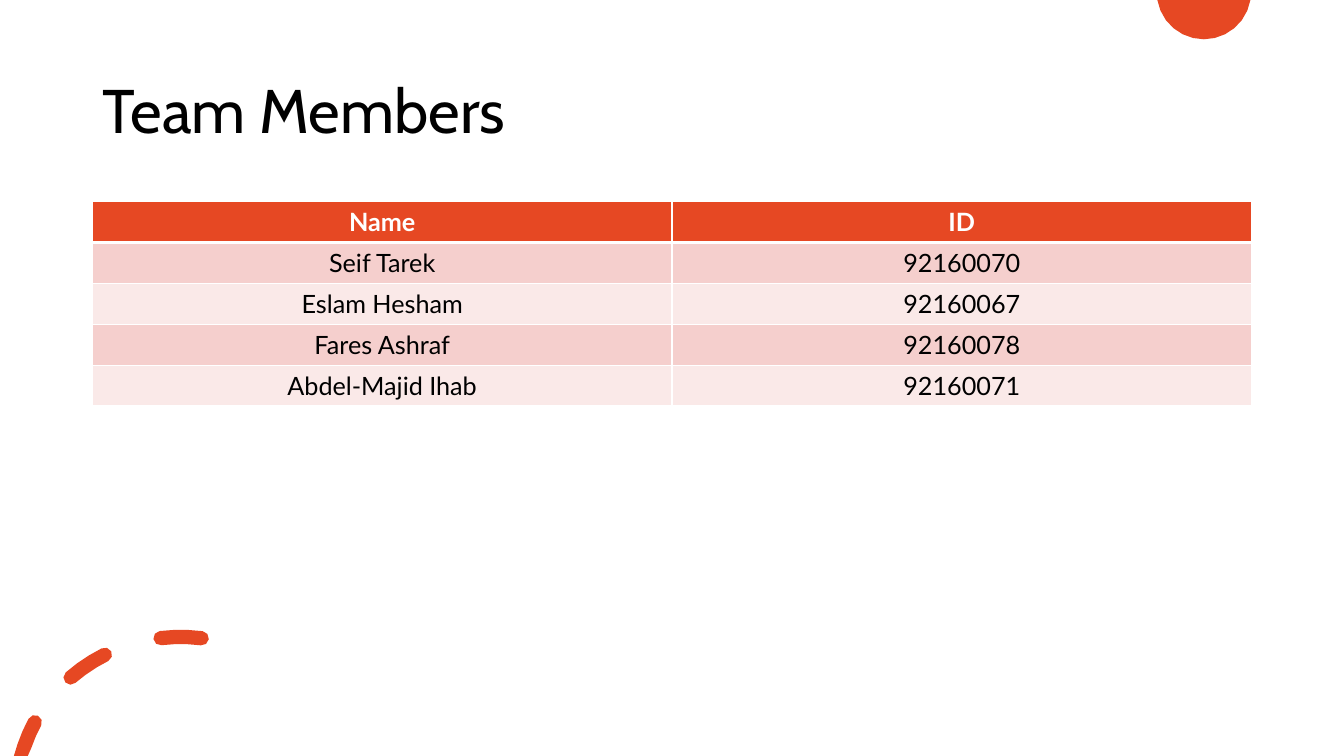
from math import atan2, cos, pi, radians, sin

from lxml.etree import SubElement
from pptx import Presentation
from pptx.dml.color import RGBColor
from pptx.enum.text import MSO_ANCHOR, MSO_AUTO_SIZE, PP_ALIGN
from pptx.oxml.ns import qn
from pptx.util import Cm, Pt

ORANGE = "E64823"
WHITE = "FFFFFF"
BLACK = "000000"
ROW_FILLS = ("F5CFCD", "FAE9E8")
SLIDE_WIDTH, SLIDE_HEIGHT = 33.87, 19.05
MARGIN, CONTENT_WIDTH = 2.33, 29.21
ROW_HEIGHT = 1.03
MEMBERS = [
    ("Name", "ID"),
    ("Seif Tarek", "92160070"),
    ("Eslam Hesham", "92160067"),
    ("Fares Ashraf", "92160078"),
    ("Abdel-Majid Ihab", "92160071"),
]
HEADER_BORDERS = {"L": 1, "R": 1, "T": 1, "B": 3}
RING_CENTER = (4.55, 20.04)
RING_RADII = (4.14, 3.99)
DASH_HALF_WIDTH = 0.18
DASH_ANGLES = [(13.5, 27.5), (48, 62.6), (83, 97.4)]


def color(value):
    return RGBColor.from_string(value)


def set_all(target, values):
    for name, value in values.items():
        setattr(target, name, value)


def write(paragraph, text, alignment, tone, **font):
    paragraph.alignment = alignment
    span = paragraph.add_run()
    span.text = text
    set_all(span.font, font)
    span.font.color.rgb = color(tone)


def add_outline(page, contours):
    contours = [[(Cm(x), Cm(y)) for x, y in contour] for contour in contours]
    builder = page.shapes.build_freeform(*contours[0][0])
    for number, contour in enumerate(contours):
        if number:
            builder.move_to(*contour[0])
        builder.add_line_segments(contour[1:], close=True)
    shape = builder.convert_to_shape()
    shape.shadow.inherit = False
    shape.fill.solid()
    shape.fill.fore_color.rgb = color(ORANGE)
    shape.line.fill.background()


def arc(center, radii, start, end, steps):
    angles = [start + (end - start) * step / steps for step in range(steps + 1)]
    return [
        (center[0] - radii[0] * cos(angle), center[1] - radii[1] * sin(angle))
        for angle in angles
    ]


def dash(start, end):
    spine = arc(RING_CENTER, RING_RADII, radians(start), radians(end), 3)
    tilts = [atan2(RING_CENTER[1] - y, RING_CENTER[0] - x) for x, y in spine]
    outer, inner = (
        [
            (x - offset * cos(tilt), y - offset * sin(tilt))
            for (x, y), tilt in zip(spine, tilts)
        ]
        for offset in (DASH_HALF_WIDTH, -DASH_HALF_WIDTH)
    )
    radii = (DASH_HALF_WIDTH, DASH_HALF_WIDTH)
    outline = outer + arc(spine[-1], radii, tilts[-1], tilts[-1] + pi, 4)[1:-1] + inner[::-1]
    if spine[0][1] < SLIDE_HEIGHT:
        outline += arc(spine[0], radii, tilts[0] + pi, tilts[0] + 2 * pi, 4)[1:-1]
    return [(x, min(y, SLIDE_HEIGHT)) for x, y in outline]


def add_decoration(page):
    half_disc = arc((30.34, -0.2), (1.19, 1.19), -radians(9.7), -radians(170.3), 12)
    add_outline(page, [[(x, max(y, 0)) for x, y in half_disc]])
    add_outline(page, [dash(*angles) for angles in DASH_ANGLES])


def add_title(page, text):
    box = page.shapes.title
    set_all(box, {
        "left": Cm(MARGIN), "top": Cm(1.02),
        "width": Cm(CONTENT_WIDTH), "height": Cm(3.68),
    })
    set_all(box.text_frame, {
        "word_wrap": True, "auto_size": MSO_AUTO_SIZE.NONE,
        "vertical_anchor": MSO_ANCHOR.MIDDLE,
    })
    paragraph = box.text_frame.paragraphs[0]
    paragraph.line_spacing = 0.9
    write(paragraph, text, PP_ALIGN.LEFT, BLACK, name="Cabin", size=Pt(44))


def add_borders(cell, widths):
    properties = cell._tc.get_or_add_tcPr()
    for side, width in widths.items():
        line = SubElement(properties, qn(f"a:ln{side}"), w=str(Pt(width)))
        SubElement(SubElement(line, qn("a:solidFill")), qn("a:srgbClr"), val=WHITE)


def add_member_table(page):
    frame = page.shapes.add_table(
        len(MEMBERS), len(MEMBERS[0]), Cm(MARGIN), Cm(5.08),
        Cm(CONTENT_WIDTH), Cm(ROW_HEIGHT * len(MEMBERS)),
    )
    table = frame.table
    for number, member in enumerate(MEMBERS):
        header = number == 0
        table.rows[number].height = Cm(ROW_HEIGHT)
        for column, text in enumerate(member):
            cell = table.cell(number, column)
            if header:
                add_borders(cell, HEADER_BORDERS)
            cell.fill.solid()
            cell.fill.fore_color.rgb = color(ORANGE if header else ROW_FILLS[(number - 1) % 2])
            write(
                cell.text_frame.paragraphs[0], text, PP_ALIGN.CENTER,
                WHITE if header else BLACK, name="Lato", size=Pt(18), bold=header,
            )


def main():
    deck = Presentation()
    set_all(deck, {"slide_width": Cm(SLIDE_WIDTH), "slide_height": Cm(SLIDE_HEIGHT)})
    page = deck.slides.add_slide(deck.slide_layouts[5])
    add_decoration(page)
    add_title(page, "Team Members")
    add_member_table(page)
    deck.save("out.pptx")


if __name__ == "__main__":
    main()
